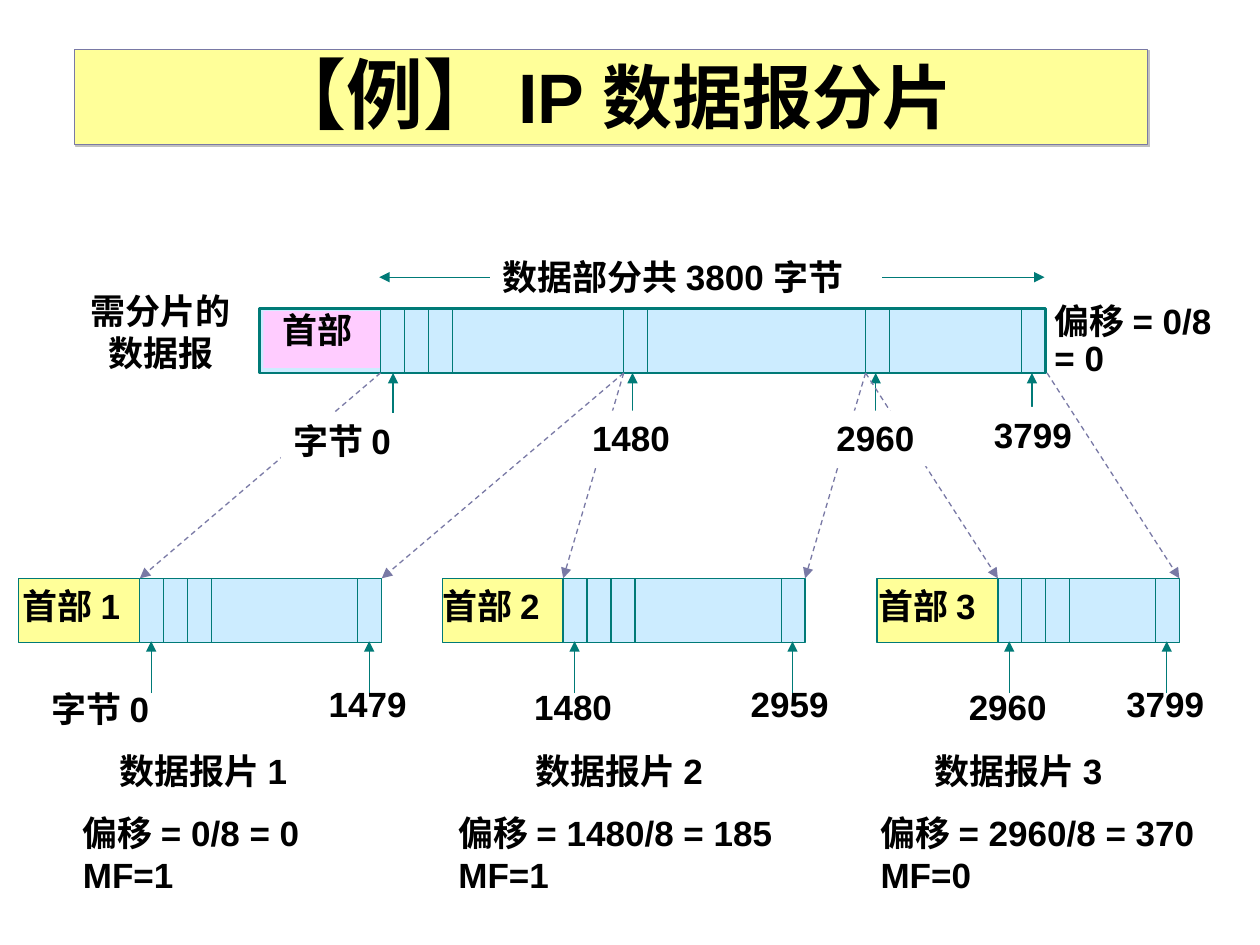
"""Build a slide showing how an IP datagram is split into three fragments."""
import pptx
import pptx.util
import pptx.dml.color
import pptx.enum.dml
import pptx.enum.shapes
import pptx.enum.text
import pptx.oxml
import pptx.oxml.ns
from lxml import etree

Inches, Pt = pptx.util.Inches, pptx.util.Pt
rgb = pptx.dml.color.RGBColor.from_string
qn = pptx.oxml.ns.qn
TEAL, VIOLET, BLUE, YELLOW, PINK = "007A77", "7979A5", "CCECFF", "FFFF99", "FFCCFF"
TOP, FRAG_TOP, BAR_H, STEP = 2.45, 4.59, 0.51, 0.19

prs = pptx.Presentation()
prs.slide_width, prs.slide_height = Inches(10), Inches(7.5)
s = prs.slides.add_slide(prs.slide_layouts[5])


def line(x1, y1, x2, y2, color=TEAL, dashed=False, ends=()):
    c = s.shapes.add_connector(pptx.enum.shapes.MSO_CONNECTOR.STRAIGHT,
                               Inches(x1), Inches(y1), Inches(x2), Inches(y2))
    c.line.color.rgb = rgb(color)
    c.line.width = Pt(0.75)
    if dashed:
        c.line.dash_style = pptx.enum.dml.MSO_LINE.DASH
    spPr = c.element.spPr
    for end in ends:
        etree.SubElement(spPr.find(qn("a:ln")), qn(f"a:{end}"), type="triangle")
    etree.SubElement(spPr, qn("a:effectLst"))


def label(text, x, y, w, h=0.44, fill=None, align=None):
    sp = s.shapes.add_textbox(Inches(x), Inches(y), Inches(w), Inches(h))
    if fill:
        sp.fill.solid()
        sp.fill.fore_color.rgb = rgb(fill)
    tf = sp.text_frame
    tf.word_wrap = False
    tf.auto_size = pptx.enum.text.MSO_AUTO_SIZE.SHAPE_TO_FIT_TEXT
    tf.text = text
    for p in tf.paragraphs:
        p.alignment = align
        p.font.name, p.font.size, p.font.bold = "Arial", Pt(20), True
        p.font.color.rgb = rgb("000000")
    return tf


sp = s.shapes.title
sp.left, sp.top, sp.width, sp.height = Inches(0.59), Inches(0.39), Inches(8.52), Inches(0.76)
sp.fill.solid()
sp.fill.fore_color.rgb = rgb(YELLOW)
sp.line.color.rgb = rgb(VIOLET)
sp.line.width = Pt(0.75)
effects = etree.SubElement(sp.element.spPr, qn("a:effectLst"))
shadow = etree.SubElement(effects, qn("a:outerShdw"), dist=str(Pt(1.4)), dir="2700000",
                          algn="ctr", rotWithShape="0")
etree.SubElement(shadow, qn("a:srgbClr"), val="C0C0C0")
tf = sp.text_frame
tf.auto_size = pptx.enum.text.MSO_AUTO_SIZE.NONE
tf.vertical_anchor = pptx.enum.text.MSO_ANCHOR.BOTTOM
p = tf.paragraphs[0]
p.alignment = pptx.enum.text.PP_ALIGN.CENTER
p.font.name, p.font.bold = "Arial", True
p.font.color.rgb = rgb("000000")
for text, size in [("【例】 ", 44), ("IP 数据报分片", 40)]:
    r = p.add_run()
    r.text = text
    r.font.size = Pt(size)

fragments = [(1.11, 1.92), (4.47, 1.92), (7.92, 1.44)]
bars = [(2.06, TOP, 6.24, BAR_H, BLUE, 1.5), (2.09, 2.47, 0.93, 0.45, PINK, 0)]
for x, w in fragments:
    bars += [(x, FRAG_TOP, w, BAR_H, BLUE, 0.75),
             (x - 0.96, FRAG_TOP, 0.96, BAR_H, YELLOW, 0.75)]
for x, y, w, h, fill, weight in bars:
    sp = s.shapes.add_shape(pptx.enum.shapes.MSO_SHAPE.RECTANGLE,
                            Inches(x), Inches(y), Inches(w), Inches(h))
    sp.shadow.inherit = False
    sp.fill.solid()
    sp.fill.fore_color.rgb = rgb(fill)
    if weight:
        sp.line.color.rgb = rgb(TEAL)
        sp.line.width = Pt(weight)
    else:
        sp.line.fill.background()

dividers = [(3.02 + i * STEP, TOP) for i in range(4)]
dividers += [(x, TOP) for x in (4.95, 5.14, 6.87, 7.06, 8.11)]
for x, w in fragments:
    dividers += [(x + d, FRAG_TOP) for d in (STEP, 2 * STEP, 3 * STEP, w - STEP)]
for x, y in dividers:
    line(x, y, x, y + BAR_H)

for x in (3.12, 5.02, 6.95, 8.19):
    line(x, 3.36, x, 2.96, ends=["tailEnd"])
for x, w in fragments:
    for arrow_x in (x + 0.09, x + w - 0.1):
        line(arrow_x, 5.5, arrow_x, 5.09, ends=["tailEnd"])
label("3799", 7.79, 3.23, 0.82, fill="FFFFFF")
cuts = [3.02, 4.95, 6.87, 8.31]
for (x, w), start, stop in zip(fragments, cuts, cuts[1:]):
    line(start, 2.96, x, FRAG_TOP, VIOLET, True, ["tailEnd"])
    line(stop, 2.96, x + w, FRAG_TOP, VIOLET, True, ["tailEnd"])
line(3.01, 2.2, 8.29, 2.2, ends=["headEnd", "tailEnd"])

for text, x, y, w in [("数据部分共 3800 字节", 3.89, 1.98, 3.11), ("字节 0", 2.23, 3.28, 1.11),
                      ("1480", 4.6, 3.26, 0.82), ("2960", 6.54, 3.26, 0.82)]:
    label(text, x, y, w, fill="FFFFFF")
label("需分片的\n数据报", 0.62, 2.25, 1.31, 0.77, align=pptx.enum.text.PP_ALIGN.CENTER)
label("首部", 2.14, 2.4, 0.82)
tf = label("偏移 = 0/8\n= 0", 8.27, 2.33, 1.59, 0.74)
tf.paragraphs[1].line_spacing = 0.9

for text, x, y, w in [("字节 0", 0.31, 5.41, 1.11), ("1479", 2.51, 5.37, 0.82),
                      ("1480", 4.14, 5.39, 0.82), ("2959", 5.86, 5.37, 0.82),
                      ("2960", 7.59, 5.39, 0.82), ("3799", 8.84, 5.37, 0.82)]:
    label(text, x, y, w)
notes = [(0.08, 0.85, 0.56, 2.06, "0/8 = 0", 1),
         (3.41, 4.15, 3.54, 2.83, "1480/8 = 185", 1),
         (6.87, 7.32, 6.89, 2.83, "2960/8 = 370", 0)]
for n, (head_x, name_x, offset_x, w, offset, flag) in enumerate(notes, 1):
    label(f"首部 {n}", head_x, FRAG_TOP, 1.11)
    label(f"数据报片 {n}", name_x, 5.9, 1.67)
    label(f"偏移 = {offset}\nMF={flag}", offset_x, 6.39, w, 0.77)

prs.save("out.pptx")
